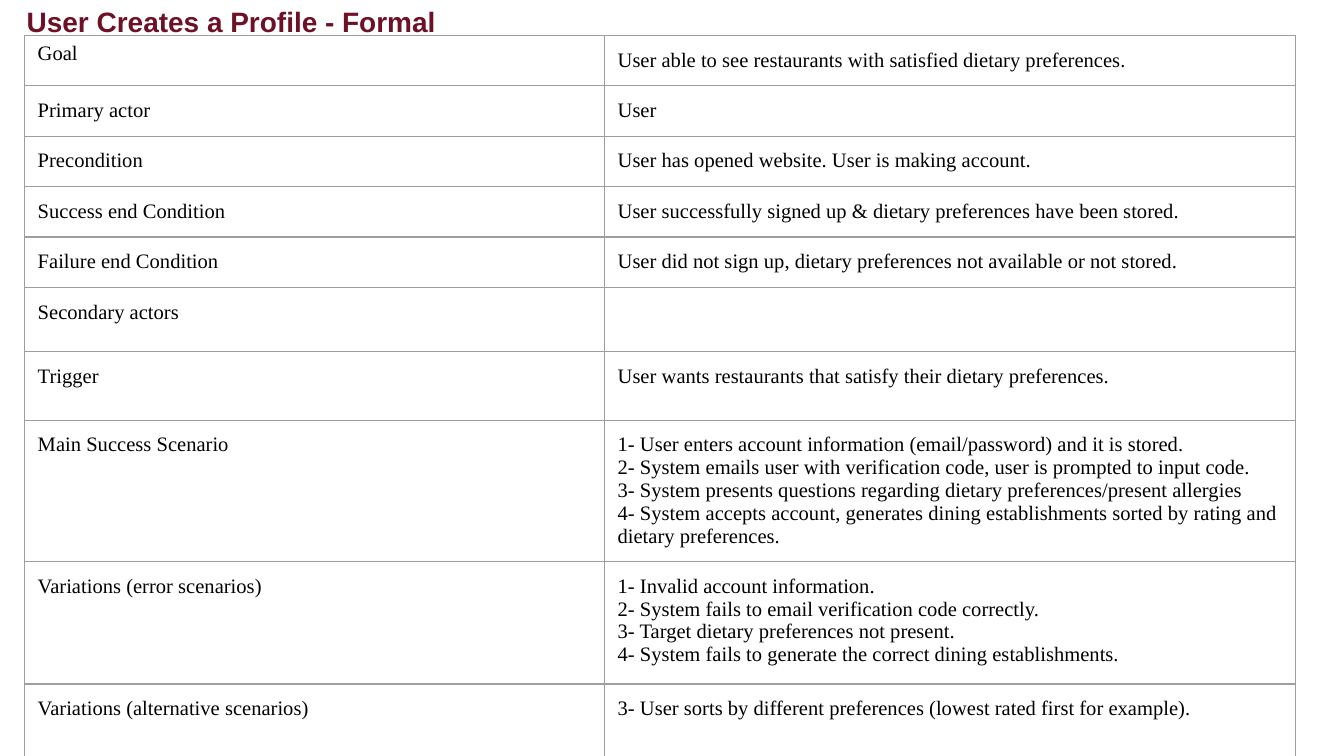
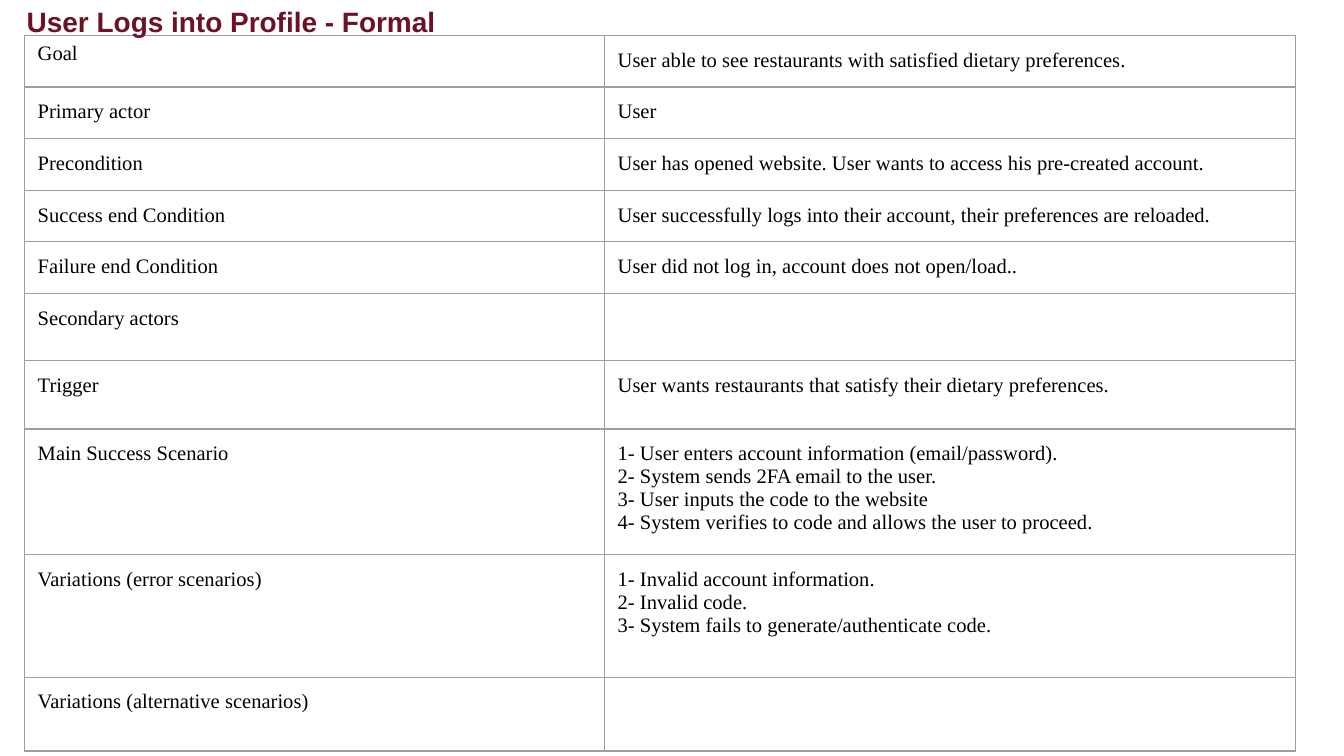
"""Build two use-case slides, each a title above a two-column table."""
from lxml import etree
from pptx import Presentation
from pptx.dml.color import RGBColor
from pptx.enum.text import MSO_ANCHOR
from pptx.oxml.ns import qn
from pptx.util import Pt

TOP = MSO_ANCHOR.TOP
COLORS = {"title": "6D1226", "text": "000000", "border": "9E9E9E"}
TITLE_FONT = {"name": "Arial", "size": Pt(15), "bold": True}
CELL_FONT = {"name": "Times New Roman", "size": Pt(11), "bold": False}
INSETS = {"margin_left": Pt(7.2), "margin_top": Pt(7.2),
          "margin_right": Pt(7.2), "margin_bottom": Pt(7.2)}
GOAL_INSETS = {"margin_left": Pt(7.2), "margin_top": Pt(3.6),
               "margin_right": Pt(0), "margin_bottom": Pt(0)}
COL_WIDTHS = [310.7, 370.4]
ROW_HEIGHTS = [27] * 5 + [34.4, 36.6, 65.7, 65.7, 39.6]
LABELS = ["Goal", "Primary actor", "Precondition", "Success end Condition",
          "Failure end Condition", "Secondary actors", "Trigger",
          "Main Success Scenario", "Variations (error scenarios)",
          "Variations (alternative scenarios)"]
GOAL = "User able to see restaurants with satisfied dietary preferences."
TRIGGER = "User wants restaurants that satisfy their dietary preferences."
USE_CASES = {
    "User Creates a Profile - Formal": [
        [GOAL],
        ["User"],
        ["User has opened website. User is making account."],
        ["User successfully signed up & dietary preferences have been stored."],
        ["User did not sign up, dietary preferences not available or not stored."],
        [],
        [TRIGGER],
        ["1- User enters account information (email/password) and it is stored.",
         "2- System emails user with verification code, user is prompted to input code.",
         "3- System presents questions regarding dietary preferences/present allergies",
         "4- System accepts account, generates dining establishments sorted by rating "
         "and dietary preferences."],
        ["1- Invalid account information.",
         "2- System fails to email verification code correctly.",
         "3- Target dietary preferences not present.",
         "4- System fails to generate the correct dining establishments."],
        ["3- User sorts by different preferences (lowest rated first for example)."],
    ],
    "User Logs into Profile - Formal": [
        [GOAL],
        ["User"],
        ["User has opened website. User wants to access his pre-created account."],
        ["User successfully logs into their account, their preferences are reloaded."],
        ["User did not log in, account does not open/load.."],
        [],
        [TRIGGER],
        ["1- User enters account information (email/password).",
         "2- System sends 2FA email to the user.",
         "3- User inputs the code to the website",
         "4- System verifies to code and allows the user to proceed."],
        ["1- Invalid account information.",
         "2- Invalid code.",
         "3- System fails to generate/authenticate code."],
        [],
    ],
}


def write(tf, lines, font, color):
    """Write one formatted paragraph per line."""
    for i, line in enumerate(lines):
        p = tf.add_paragraph() if i else tf.paragraphs[0]
        r = p.add_run()
        r.text = line
        for name, value in font.items():
            setattr(r.font, name, value)
        r.font.color.rgb = RGBColor.from_string(COLORS[color])


def add_borders(cell):
    """Draw a thin line on all four sides of a cell."""
    tc_pr = cell._tc.get_or_add_tcPr()
    for side in ("a:lnL", "a:lnR", "a:lnT", "a:lnB"):
        ln = etree.SubElement(tc_pr, qn(side), w=str(Pt(0.75)))
        fill = etree.SubElement(ln, qn("a:solidFill"))
        etree.SubElement(fill, qn("a:srgbClr"), val=COLORS["border"])


prs = Presentation()
prs.slide_width, prs.slide_height = Pt(720), Pt(405)

for title, answers in USE_CASES.items():
    s = prs.slides.add_slide(prs.slide_layouts[6])

    table = s.shapes.add_table(len(LABELS), 2, Pt(13), Pt(19),
                               Pt(sum(COL_WIDTHS)), Pt(sum(ROW_HEIGHTS))).table
    table.first_row = table.horz_banding = False
    for col, width in zip(table.columns, COL_WIDTHS):
        col.width = Pt(width)
    for row, height, label, lines in zip(table.rows, ROW_HEIGHTS, LABELS, answers):
        row.height = Pt(height)
        for cell, content in zip(row.cells, ([label], lines or [""])):
            insets = GOAL_INSETS if content == ["Goal"] else INSETS
            for name, value in insets.items():
                setattr(cell, name, value)
            cell.vertical_anchor = TOP
            add_borders(cell)
            cell.fill.background()
            write(cell.text_frame, content, CELL_FONT, "text")

    sp = s.shapes.add_textbox(Pt(7.2), Pt(-5), Pt(678), Pt(19))
    tf = sp.text_frame
    tf.word_wrap = True
    tf.vertical_anchor = TOP
    for name, value in INSETS.items():
        setattr(tf, name, value)
    write(tf, [title], TITLE_FONT, "title")

prs.save("out.pptx")
